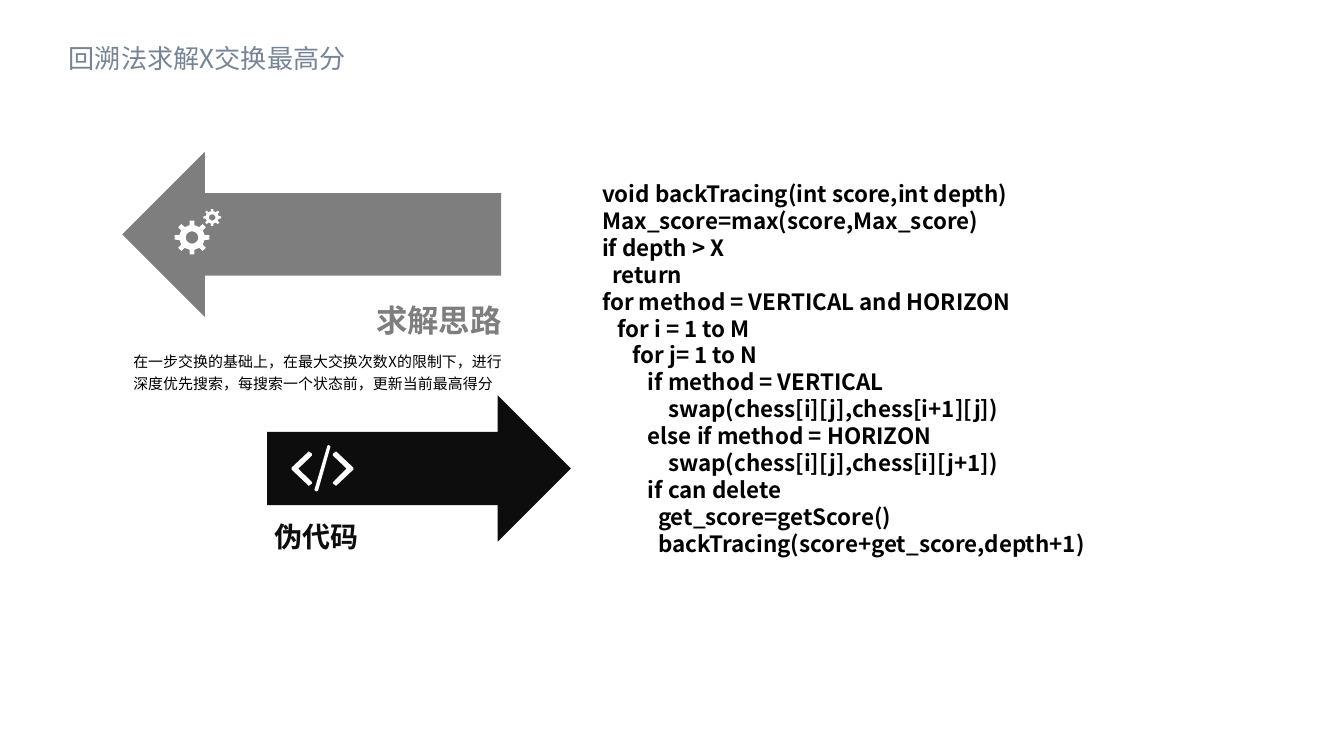
from math import cos, pi, sin

from lxml import etree
from pptx import Presentation
from pptx.dml.color import RGBColor
from pptx.enum.shapes import MSO_SHAPE
from pptx.enum.text import MSO_ANCHOR, PP_ALIGN
from pptx.oxml.ns import qn
from pptx.util import Cm, Pt

RIGHT_ARROW = MSO_SHAPE.RIGHT_ARROW
LEFT, RIGHT = PP_ALIGN.LEFT, PP_ALIGN.RIGHT
TOP, MIDDLE = MSO_ANCHOR.TOP, MSO_ANCHOR.MIDDLE

FONT = "Noto Sans CJK SC"
COLORS = {
    "title": "778495",
    "idea": "7E7E7E",
    "code": "0D0D0D",
    "text": "000000",
    "icon": "FFFFFF",
}
PSEUDOCODE = """void backTracing(int score,int depth)
Max_score=max(score,Max_score)
if depth > X
  return
for method = VERTICAL and HORIZON
   for i = 1 to M
      for j= 1 to N
         if method = VERTICAL
             swap(chess[i][j],chess[i+1][j])
         else if method = HORIZON
             swap(chess[i][j],chess[i][j+1])
         if can delete
           get_score=getScore()
           backTracing(score+get_score,depth+1)"""


def paint(shape, color):
    shape.shadow.inherit = False
    shape.fill.solid()
    shape.fill.fore_color.rgb = RGBColor.from_string(COLORS[color])
    shape.line.fill.background()


def add_text(slide, box, text, size, color, bold=False, align=LEFT, anchor=TOP,
             margins=(0.41, 0), wrap=True, leading=1.2):
    text_frame = slide.shapes.add_textbox(*map(Cm, box)).text_frame
    text_frame.word_wrap = wrap
    text_frame.vertical_anchor = anchor
    text_frame.margin_left = text_frame.margin_right = Cm(margins[0])
    text_frame.margin_top = text_frame.margin_bottom = Cm(margins[1])
    text_frame.text = text
    for paragraph in text_frame.paragraphs:
        paragraph.alignment = align
        paragraph.line_spacing = Pt(size * leading)
        for run in paragraph.runs:
            run.font.size = Pt(size)
            run.font.bold = bold
            run.font.name = FONT
            run.font.color.rgb = RGBColor.from_string(COLORS[color])
            east_asian = etree.SubElement(run.font._element, qn("a:ea"))
            east_asian.set("typeface", FONT)


def add_arrow(slide, box, color, rotation=0):
    arrow = slide.shapes.add_shape(RIGHT_ARROW, *map(Cm, box))
    arrow.rotation = rotation
    paint(arrow, color)


def add_outline(slide, box, contours):
    left, top, width, height = box
    contours = [[(Cm(left + x * width), Cm(top + y * height)) for x, y in contour]
                for contour in contours]
    builder = slide.shapes.build_freeform(*contours[0][0])
    for index, contour in enumerate(contours):
        if index:
            builder.move_to(*contour[0])
        builder.add_line_segments(contour[1:], close=True)
    paint(builder.convert_to_shape(), "icon")


def add_gear(slide, box, teeth=8):
    def polar(radius, angle):
        return 0.5 + radius * cos(angle), 0.5 + radius * sin(angle)

    profile = [(0.37, -0.24), (0.5, -0.17), (0.5, 0.17), (0.37, 0.24)]
    rim = [polar(radius, 2 * pi * (tooth + offset) / teeth)
           for tooth in range(teeth) for radius, offset in profile]
    hole = [polar(0.18, -2 * pi * step / 32) for step in range(32)]
    add_outline(slide, box, [rim, hole])


def add_code_icon(slide, box):
    chevron = [(0.28, 0.88), (0, 0.53), (0, 0.49), (0.28, 0.14),
               (0.33, 0.19), (0.33, 0.23), (0.11, 0.51), (0.33, 0.8), (0.33, 0.83)]
    slash = [(0.37, 0.97), (0.58, 0.02), (0.6, 0), (0.63, 0.04), (0.43, 0.98), (0.4, 1)]
    mirrored = [(1 - x, y) for x, y in chevron]
    add_outline(slide, box, [chevron, slash, mirrored])


def add_idea(slide, left, top):
    add_arrow(slide, (left, top, 7.16, 3.12), "idea", 180)
    add_gear(slide, (left + 0.99, top + 1.3, 0.66, 0.64))
    add_gear(slide, (left + 1.53, top + 1.08, 0.34, 0.32))
    add_text(slide, (left + 4.39, top + 2.82, 4.09, 0.61), "求解思路", 16.8, "idea",
             bold=True, wrap=False)
    add_text(slide, (left - 0.2, top + 3.71, 8, 1.42),
             "在一步交换的基础上，在最大交换次数X的限制下，进行深度优先搜索，"
             "每搜索一个状态前，更新当前最高得分", 8, "text", leading=1.47)


def add_code_heading(slide, left, top):
    add_arrow(slide, (left, top, 5.74, 2.77), "code")
    add_code_icon(slide, (left + 0.46, top + 0.94, 1.17, 0.88))
    add_text(slide, (left - 0.81, top + 2.36, 2.95, 0.56), "伪代码", 15, "code",
             bold=True, align=RIGHT, wrap=False)


def main():
    presentation = Presentation()
    presentation.slide_width, presentation.slide_height = Cm(25.4), Cm(14.29)
    slide = presentation.slides.add_slide(presentation.slide_layouts[6])
    add_text(slide, (1.3, 0.48, 6, 1.22), "回溯法求解X交换最高分", 14, "title",
             anchor=MIDDLE, margins=(0, 0.13))
    add_idea(slide, 2.31, 2.87)
    add_code_heading(slide, 5.05, 7.47)
    add_text(slide, (11.13, 3.28, 10.39, 8.38), PSEUDOCODE, 12, "text",
             bold=True, margins=(0.25, 0.13))
    presentation.save("out.pptx")


if __name__ == "__main__":
    main()
